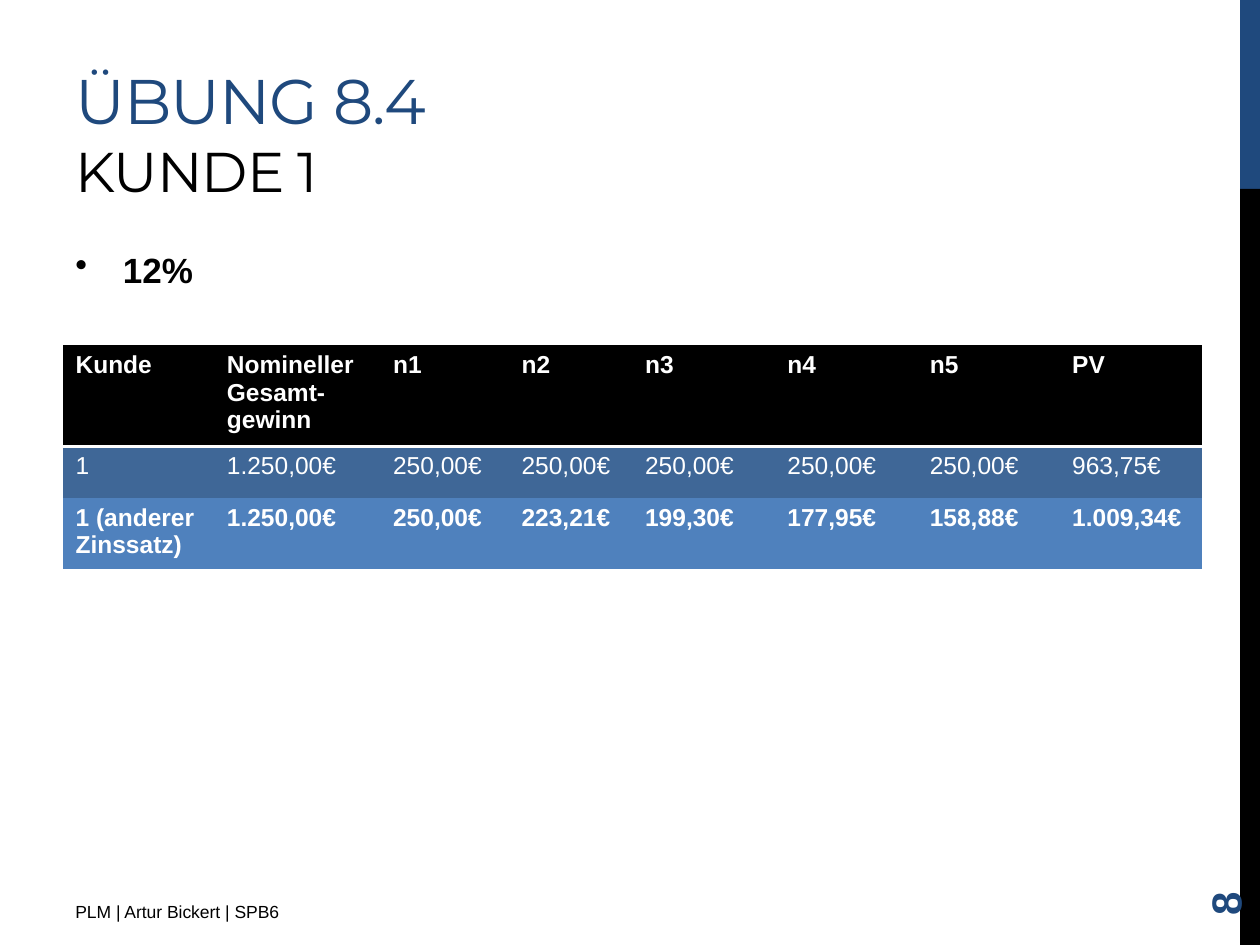
from dataclasses import dataclass

from lxml.etree import SubElement as Sub
from pptx import Presentation
from pptx.dml.color import RGBColor as Rgb
from pptx.enum.shapes import MSO_SHAPE as Shape
from pptx.enum.text import MSO_ANCHOR as Anchor, MSO_AUTO_SIZE as Auto, PP_ALIGN as Align
from pptx.oxml import parse_xml
from pptx.oxml.ns import nsdecls, qn
from pptx.util import Cm, Pt


@dataclass(frozen=True)
class Theme:
    navy: str = "1F497D"
    steel: str = "3F6797"
    sky: str = "4F81BD"
    black: str = "000000"
    white: str = "FFFFFF"
    head: str = "Montserrat"
    body: str = "Arial"
    title: int = 36
    sub: int = 32
    point: int = 20
    cell: int = 14
    foot: int = 10
    page: int = 24


@dataclass(frozen=True)
class Box:
    left: float
    top: float
    width: float
    height: float

    def cm(self) -> tuple:
        return Cm(self.left), Cm(self.top), Cm(self.width), Cm(self.height)


@dataclass(frozen=True)
class Bar:
    box: Box
    color: str


@dataclass(frozen=True)
class Label:
    text: str
    box: Box
    size: int
    color: str
    bold: bool = False
    turn: int = 0
    anchor: Anchor = Anchor.TOP


@dataclass(frozen=True)
class Row:
    cells: tuple
    fill: str
    bold: bool


T = Theme()
BARS = (
    Bar(Box(25, 0, 0.4, 3.81), T.navy),
    Bar(Box(25, 3.81, 0.4, 15.24), T.black),
)
POINT = Label("12%", Box(1.27, 4.88, 21.16, 12.14), T.point, T.black, bold=True)
FOOT = Label("PLM | Artur Bickert | SPB6", Box(1.27, 18.03, 9.53, 0.79), T.foot, T.black)
PAGE = Label("8", Box(22.86, 16.36, 3.66, 1.02), T.page, T.navy, True, 270, Anchor.MIDDLE)
COLS = (3.05, 3.35, 2.59, 2.49) + (2.87,) * 4
ROWS = (
    Row(("Kunde", "Nomineller Gesamt-gewinn", "n1", "n2", "n3", "n4", "n5", "PV"),
        T.black, True),
    Row(("1", "1.250,00€") + ("250,00€",) * 5 + ("963,75€",), T.steel, False),
    Row(("1 (anderer Zinssatz)", "1.250,00€", "250,00€", "223,21€", "199,30€",
         "177,95€", "158,88€", "1.009,34€"), T.sky, True),
)
ROW_H = 1.04


def style(font, size: int, color: str, bold: bool = False, name: str = T.body) -> None:
    font.name, font.size, font.bold = name, Pt(size), bold
    font.color.rgb = Rgb.from_string(color)


def add_bar(slide, bar: Bar) -> None:
    rect = slide.shapes.add_shape(Shape.RECTANGLE, *bar.box.cm())
    rect.shadow.inherit = False
    rect.fill.solid()
    rect.fill.fore_color.rgb = Rgb.from_string(bar.color)
    rect.line.fill.background()


def add_label(slide, label: Label):
    """Add a text box and return its paragraph."""
    box = slide.shapes.add_textbox(*label.box.cm())
    box.rotation = label.turn
    frame = box.text_frame
    frame.word_wrap = True
    frame.vertical_anchor = label.anchor
    para = frame.paragraphs[0]
    para.text = label.text
    style(para.font, label.size, label.color, label.bold)
    return para


def add_bullet(para) -> None:
    para.space_before, para.space_after = Pt(4), Pt(6)
    props = para._p.get_or_add_pPr()
    props.set("marL", str(Cm(0.96)))
    props.set("indent", str(-Cm(0.96)))
    mark = parse_xml(f'<a:buChar {nsdecls("a")} char="•"/>')
    props.find(qn("a:defRPr")).addprevious(mark)


def set_title(slide) -> None:
    title = slide.shapes.title
    title.left, title.top, title.width, title.height = Box(1.27, 0.43, 16.08, 3.81).cm()
    frame = title.text_frame
    frame.word_wrap, frame.auto_size = True, Auto.NONE
    frame.vertical_anchor = Anchor.BOTTOM
    para = frame.paragraphs[0]
    para.alignment = Align.LEFT
    parts = (("ÜBUNG 8.4", T.title, T.navy), ("KUNDE 1", T.sub, T.black))
    for i, (text, size, color) in enumerate(parts):
        if i:
            para.add_line_break()
        run = para.add_run()
        run.text = text
        style(run.font, size, color, name=T.head)
        run.font._element.set("spc", "-60")


def add_rule(cell) -> None:
    """Draw a white line below the cell."""
    line = parse_xml(f'<a:lnB {nsdecls("a")} w="{Pt(2)}"/>')
    Sub(Sub(line, qn("a:solidFill")), qn("a:srgbClr")).set("val", T.white)
    cell._tc.get_or_add_tcPr().insert(0, line)


def add_grid(slide) -> None:
    box = Box(1.27, 6.96, sum(COLS), ROW_H * len(ROWS))
    table = slide.shapes.add_table(len(ROWS), len(COLS), *box.cm()).table
    table.horz_banding = False
    plain = "{2D5ABB26-0587-4C30-8999-92F81FD0307C}"
    table._tbl.tblPr.find(qn("a:tableStyleId")).text = plain
    for col, width in zip(table.columns, COLS):
        col.width = Cm(width)
    for r, row in enumerate(ROWS):
        table.rows[r].height = Cm(ROW_H)
        for c, text in enumerate(row.cells):
            cell = table.cell(r, c)
            cell.text = text
            cell.fill.solid()
            cell.fill.fore_color.rgb = Rgb.from_string(row.fill)
            style(cell.text_frame.paragraphs[0].font, T.cell, T.white, row.bold)
            if r == 0:
                add_rule(cell)


def main() -> None:
    deck = Presentation()
    deck.slide_width, deck.slide_height = Cm(25.4), Cm(19.05)
    slide = deck.slides.add_slide(deck.slide_layouts[5])
    for bar in BARS:
        add_bar(slide, bar)
    set_title(slide)
    add_bullet(add_label(slide, POINT))
    add_grid(slide)
    for label in (FOOT, PAGE):
        add_label(slide, label)
    deck.save("out.pptx")


if __name__ == "__main__":
    main()
